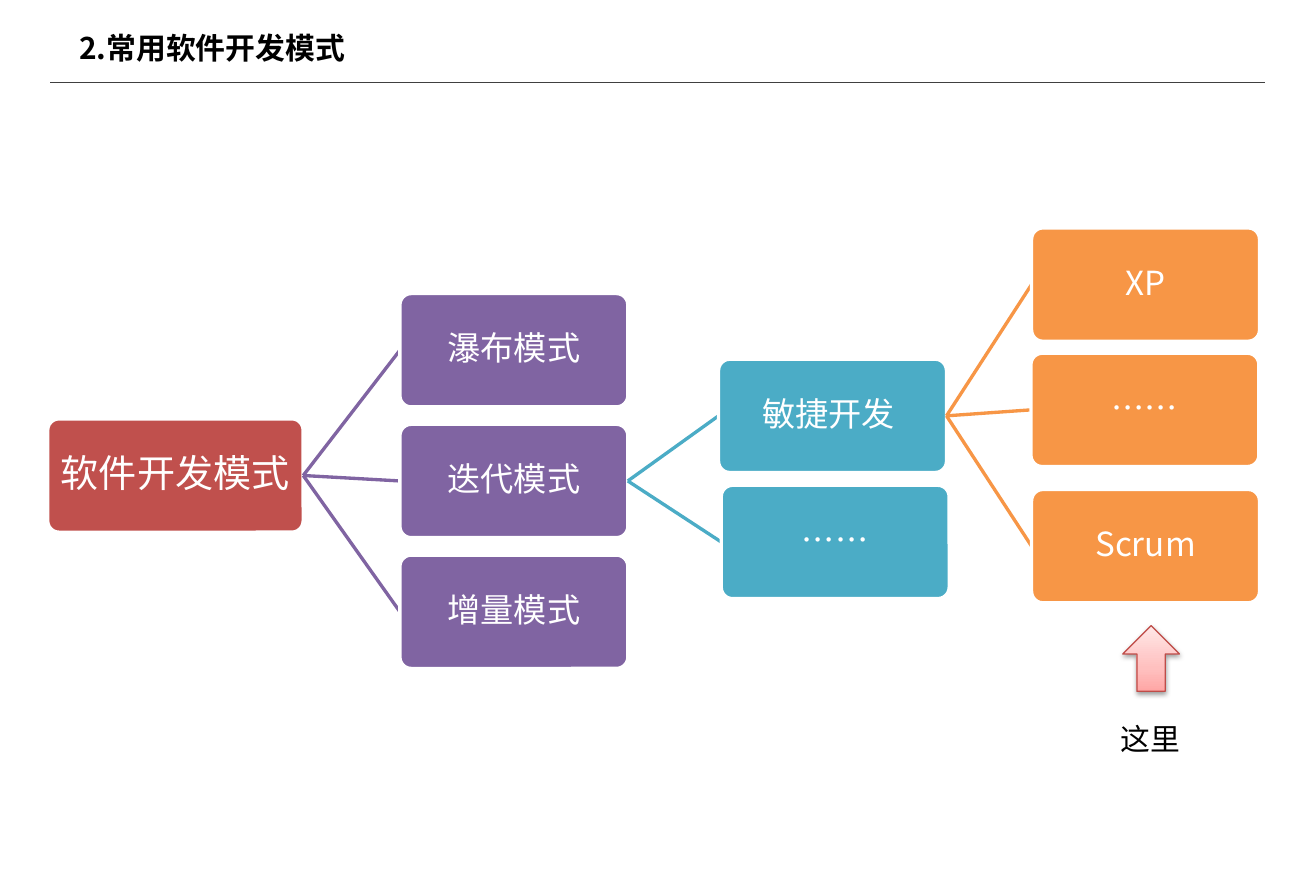
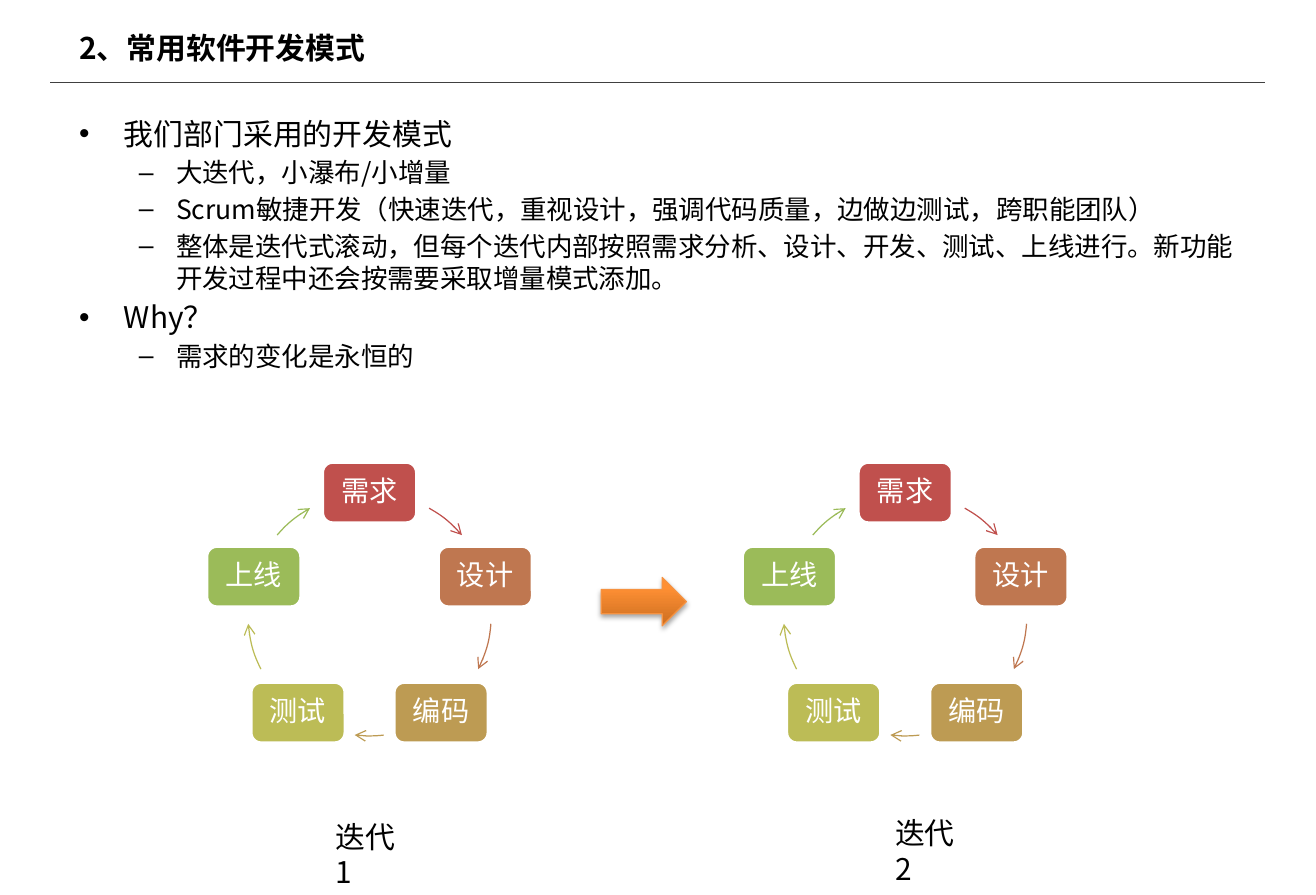
import math

from lxml import etree
from pptx import Presentation
from pptx.dml.color import RGBColor
from pptx.enum import shapes, text
from pptx.oxml import parse_xml
from pptx.oxml.ns import nsdecls, qn
from pptx.util import Pt

FONT = "Noto Sans CJK SC"
LINE_HEIGHT = 1.2
BLACK = RGBColor(0x00, 0x00, 0x00)
WHITE = RGBColor(0xFF, 0xFF, 0xFF)
RULE = RGBColor(0x40, 0x40, 0x40)
RED = RGBColor(0xC0, 0x50, 0x4D)
PURPLE = RGBColor(0x80, 0x64, 0xA2)
TEAL = RGBColor(0x4B, 0xAC, 0xC6)
ORANGE = RGBColor(0xF7, 0x96, 0x46)
RUST = RGBColor(0xBF, 0x77, 0x50)
OCHRE = RGBColor(0xBD, 0x9B, 0x53)
OLIVE = RGBColor(0xBC, 0xBC, 0x56)
GREEN = RGBColor(0x9B, 0xBB, 0x59)
PINK_EDGE = RGBColor(0xBF, 0x4C, 0x48)
ORANGE_EDGE = RGBColor(0xF6, 0x92, 0x40)
PINK_STOPS = [(0, RGBColor(0xFF, 0xA6, 0xA5)), (35, RGBColor(0xFF, 0xC0, 0xBF)),
              (100, RGBColor(0xFF, 0xE7, 0xE7))]
ORANGE_STOPS = [(0, RGBColor(0xCC, 0x6E, 0x20)), (80, RGBColor(0xFF, 0x90, 0x34)),
                (100, RGBColor(0xFF, 0x91, 0x36))]

MODES = ["瀑布模式", "迭代模式", "增量模式"]
BULLETS = [
    (0, "我们部门采用的开发模式"),
    (1, "大迭代，小瀑布/小增量"),
    (1, "Scrum敏捷开发（快速迭代，重视设计，强调代码质量，边做边测试，跨职能团队）"),
    (1, "整体是迭代式滚动，但每个迭代内部按照需求分析、设计、开发、测试、上线进行。"
        "新功能开发过程中还会按需要采取增量模式添加。"),
    (0, "Why？"),
    (1, "需求的变化是永恒的"),
]
# label, colour, start and end angle of the arrow that follows
STEPS = [("需求", RED, -60.7, -40.6), ("设计", RUST, 4.5, 26.8),
         ("编码", OCHRE, 83.3, 97), ("测试", OLIVE, 153.2, 175.5),
         ("上线", GREEN, 220.6, 240.7)]


def format_paragraph(p, size, color=BLACK, bold=False, spacing=None):
    p.line_spacing = spacing or Pt(round(size * LINE_HEIGHT, 1))
    for r in p.runs:
        r.font.name, r.font.size, r.font.bold = FONT, Pt(size), bold
        r.font.color.rgb = color
        ea = etree.SubElement(r._r.get_or_add_rPr(), qn("a:ea"))
        ea.set("typeface", FONT)


def set_insets(tf, x, y):
    tf.margin_left = tf.margin_right = Pt(x)
    tf.margin_top = tf.margin_bottom = Pt(y)


def place(sp, left, top, width, height):
    sp.left, sp.top, sp.width, sp.height = Pt(left), Pt(top), Pt(width), Pt(height)


def add_line(s, x1, y1, x2, y2, color, width):
    line = s.shapes.add_connector(shapes.MSO_CONNECTOR.STRAIGHT,
                                  Pt(x1), Pt(y1), Pt(x2), Pt(y2))
    line.line.color.rgb, line.line.width = color, Pt(width)
    etree.SubElement(line._element.spPr, qn("a:effectLst"))


def add_preset(s, kind, left, top, width, height, edge, edge_width):
    sp = s.shapes.add_shape(kind, Pt(left), Pt(top), Pt(width), Pt(height))
    sp.shadow.inherit = False
    sp.line.color.rgb, sp.line.width = edge, Pt(edge_width)
    return sp


def add_node(s, label, box, color, size, inset, corner):
    sp = add_preset(s, shapes.MSO_SHAPE.ROUNDED_RECTANGLE, *box, WHITE, 2)
    sp.adjustments[0] = corner
    sp.fill.solid()
    sp.fill.fore_color.rgb = color
    tf = sp.text_frame
    tf.word_wrap = True
    tf.vertical_anchor = text.MSO_ANCHOR.MIDDLE
    set_insets(tf, inset, inset)
    p = tf.paragraphs[0]
    p.text = label
    p.alignment = text.PP_ALIGN.CENTER
    format_paragraph(p, size, WHITE, spacing=0.9)


def add_block_arrow(s, kind, box, stops, edge, opacity):
    """Block arrow with an upward gradient and a soft shadow below."""
    sp = add_preset(s, kind, *box, edge, 0.75)
    gs = "".join(f'<a:gs pos="{pos * 1000}"><a:srgbClr val="{color}"/></a:gs>'
                 for pos, color in stops)
    grad = parse_xml(f'<a:gradFill {nsdecls("a")} rotWithShape="1"><a:gsLst>{gs}</a:gsLst>'
                     '<a:lin ang="16200000" scaled="0"/></a:gradFill>')
    sp_pr = sp._element.spPr
    sp_pr.find(qn("a:prstGeom")).addnext(grad)
    sp_pr.find(qn("a:effectLst")).append(parse_xml(
        f'<a:outerShdw {nsdecls("a")} blurRad="{Pt(3.1)}" dist="{Pt(1.7)}" dir="5400000" '
        f'rotWithShape="0"><a:srgbClr val="000000"><a:alpha val="{opacity * 1000}"/>'
        '</a:srgbClr></a:outerShdw>'))


def add_label(s, label, left, top, width):
    tf = s.shapes.add_textbox(Pt(left), Pt(top), Pt(width), Pt(28.8)).text_frame
    tf.word_wrap = True
    tf.text = label
    format_paragraph(tf.paragraphs[0], 18)


def add_header(s, title):
    add_line(s, 30.2, 49.9, 763.2, 49.9, RULE, 0.25)
    sp = s.shapes.title
    place(sp, 39.8, 13.5, 246.2, 25.9)
    tf = sp.text_frame
    tf.text = title
    tf.auto_size = text.MSO_AUTO_SIZE.NONE
    tf.vertical_anchor = text.MSO_ANCHOR.TOP
    set_insets(tf, 7.9, 4.3)
    tf.paragraphs[0].alignment = text.PP_ALIGN.LEFT
    format_paragraph(tf.paragraphs[0], 18, bold=True)


def add_bullets(s, left, top, width, height):
    sp = s.placeholders[1]
    place(sp, left, top, width, height)
    tf = sp.text_frame
    tf.auto_size = text.MSO_AUTO_SIZE.NONE
    set_insets(tf, 7.9, 4.3)
    for i, (level, line) in enumerate(BULLETS):
        p = tf.add_paragraph() if i else tf.paragraphs[0]
        p.text, p.level = line, level
        size = 16 if level else 18
        p.space_before = Pt(round(size * 0.19, 1))
        format_paragraph(p, size)


def add_tree(s, left, top):
    """Tree of development modes, growing to the right."""
    w, h, root_w = 137.5, 68.4, 154.1

    def branch(parent_right, parent_top, children, color):
        for label, x, y in children:
            add_line(s, parent_right, parent_top + h / 2, left + x, top + y + h / 2, color, 2)
            add_node(s, label, (left + x, top + y, w, h), color, 20, 0.9, 0.1)

    root_top = top + 115.2
    add_node(s, "软件开发模式", (left, root_top, root_w, h), RED, 23, 1.2, 0.1)
    branch(left + root_w, root_top,
           [(mode, 212.4, 39.6 + 78.9 * i) for i, mode in enumerate(MODES)], PURPLE)
    branch(left + 212.4 + w, top + 118.5,
           [("敏捷开发 ", 404.6, 79.2), ("……", 406.2, 155.3)], TEAL)
    branch(left + 404.6 + w, top + 79.2,
           [("XP", 593.4, 0), ("……", 593, 75.6), ("Scrum", 593.4, 157.8)], ORANGE)


def add_cycle(s, cx, cy, radius):
    w, h = 56.9, 36.7
    for i, (label, color, start, end) in enumerate(STEPS):
        angle = math.radians(72 * i - 90)
        x, y = cx + radius * math.cos(angle), cy + radius * math.sin(angle)
        add_node(s, label, (x - w / 2, y - h / 2, w, h), color, 17, 5, 0.17)
        arc = add_preset(s, shapes.MSO_SHAPE.ARC, cx - radius, cy - radius,
                         2 * radius, 2 * radius, color, 0.75)
        arc.fill.background()
        # angles are stored in 60000ths of a degree, adjustments in 100000ths
        arc.adjustments[0] = start % 360 * 0.6
        arc.adjustments[1] = end % 360 * 0.6
        etree.SubElement(arc.line._get_or_add_ln(), qn("a:tailEnd")).set("type", "arrow")


def build_modes_slide(prs):
    s = prs.slides.add_slide(prs.slide_layouts[5])
    add_header(s, "2.常用软件开发模式")
    add_tree(s, 28.8, 137.5)
    add_block_arrow(s, shapes.MSO_SHAPE.UP_ARROW, (677.2, 377.5, 34.2, 39.6),
                    PINK_STOPS, PINK_EDGE, 38)
    add_label(s, "这里", 668.6, 431.2, 56)


def build_practice_slide(prs):
    s = prs.slides.add_slide(prs.slide_layouts[1])
    add_header(s, "2、常用软件开发模式")
    add_bullets(s, 39.8, 65.3, 714.2, 435.6)
    for cx in (222.9, 546):
        add_cycle(s, cx, 370.6, 73.4)
    add_block_arrow(s, shapes.MSO_SHAPE.RIGHT_ARROW, (362.6, 348.4, 51.4, 29.2),
                    ORANGE_STOPS, ORANGE_EDGE, 35)
    add_label(s, "迭代1", 195.1, 490.2, 56)
    add_label(s, "迭代2", 532.8, 488, 56)


def main():
    prs = Presentation()
    prs.slide_width, prs.slide_height = Pt(793.75), Pt(540)
    build_modes_slide(prs)
    build_practice_slide(prs)
    prs.save("out.pptx")


if __name__ == "__main__":
    main()
